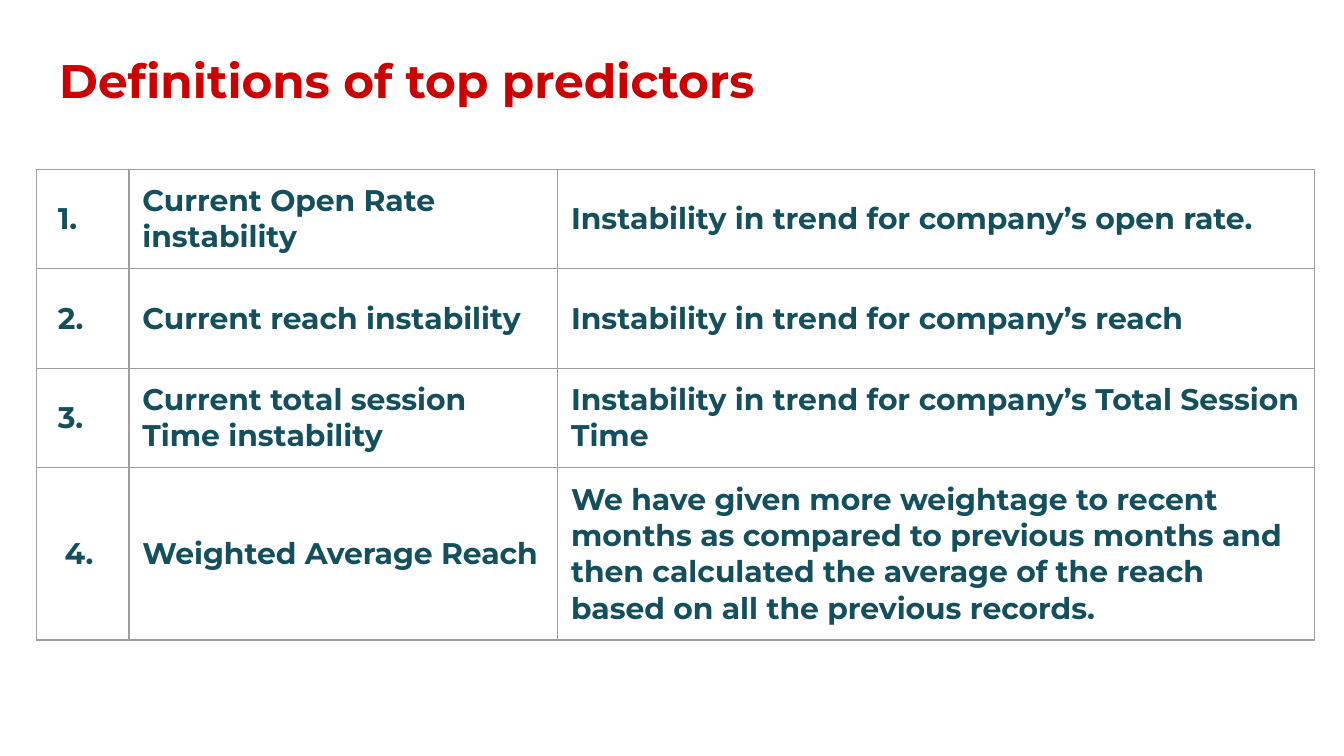
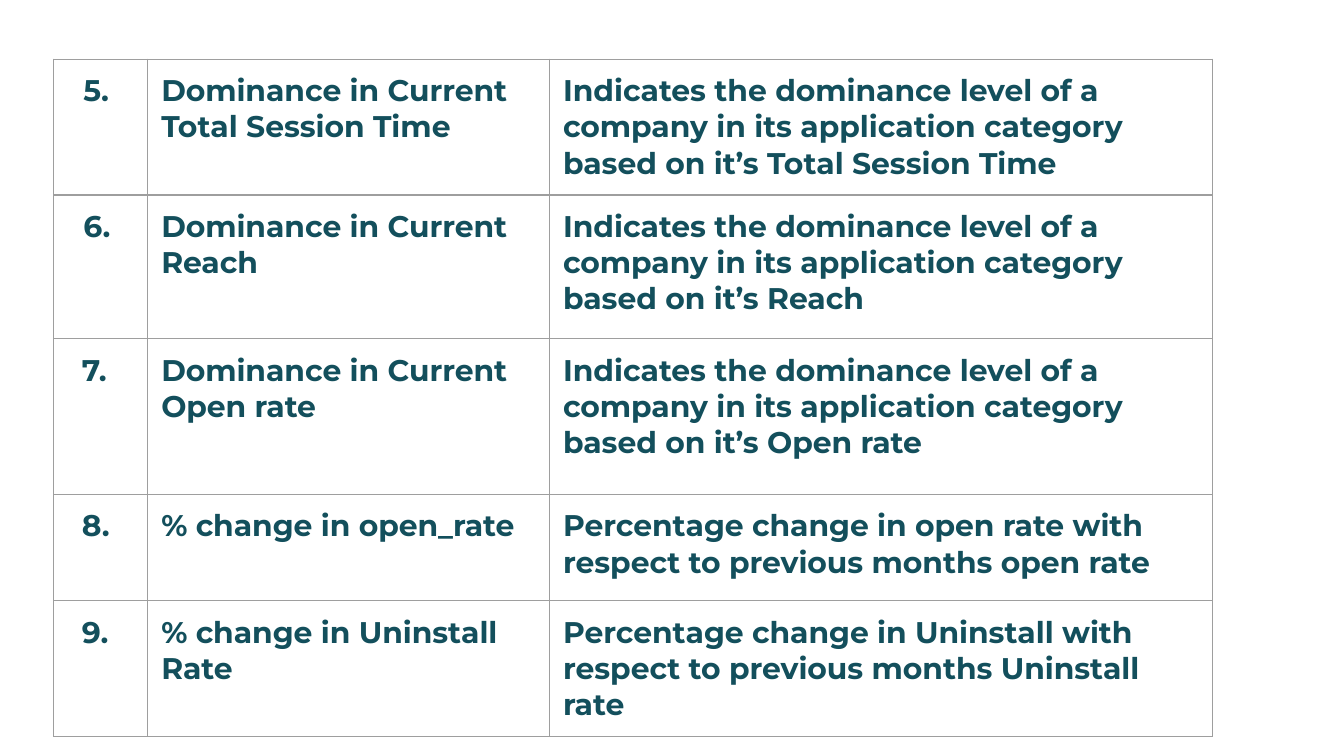
"""Build two slides that define the top predictors."""
from dataclasses import dataclass

from lxml.etree import SubElement as Sub
from pptx import Presentation
from pptx.dml.color import RGBColor as Rgb
from pptx.enum.text import MSO_ANCHOR as Anchor, PP_ALIGN as Align
from pptx.oxml.ns import qn
from pptx.util import Inches as In, Pt


@dataclass(frozen=True)
class Theme:
    """Colours, font, type sizes and spacing."""
    face: str = "Montserrat"
    head: str = "CC0000"
    body: str = "134F5C"
    rule: str = "9E9E9E"
    big: float = 25.2
    text: float = 16
    line: float = 0.75
    pad: float = 0.1


LOOK = Theme()
WIDE = 10
SIZE = (WIDE, WIDE * 9 / 16)
LEVEL = "Indicates the dominance level of a company in its application category based on it’s "
TREND = "Instability in trend for company’s "

PAGES = [
    {
        "title": "Definitions of top predictors",
        "at": (0.27, 1.26),
        "cols": (0.69, 3.19, 5.63),
        "highs": (0.74, 0.74, 0.74, 1.28),
        "anchor": Anchor.MIDDLE,
        "first": 1,
        "dents": (0.06, 0.06, 0.06, 0.11),
        "rows": [
            ("Current Open Rate instability", TREND + "open rate."),
            ("Current reach instability", TREND + "reach"),
            ("Current total session Time instability", TREND + "Total Session Time"),
            ("Weighted Average Reach",
             "We have given more weightage to recent months as compared to previous months "
             "and then calculated the average of the reach based on all the previous records."),
        ],
    },
    {
        "title": None,
        "at": (0.4, 0.44),
        "cols": (0.7, 2.99, 4.93),
        "highs": (0.63, 1.07, 1.16, 0.79, 0.79),
        "anchor": Anchor.TOP,
        "first": 5,
        "dents": (0.12, 0.12, 0.11, 0.11, 0.11),
        "rows": [
            ("Dominance in Current Total Session Time", LEVEL + "Total Session Time"),
            ("Dominance in Current Reach", LEVEL + "Reach"),
            ("Dominance in Current Open rate", LEVEL + "Open rate"),
            ("% change in open_rate",
             "Percentage change in open rate with respect to previous months open rate"),
            ("% change in Uninstall Rate",
             "Percentage change in Uninstall with respect to previous months Uninstall rate"),
        ],
    },
]


def write(frame, text, size, color):
    """Set the text and its font."""
    frame.text = text
    para = frame.paragraphs[0]
    para.alignment = Align.LEFT
    font = para.runs[0].font
    font.name, font.size, font.bold = LOOK.face, Pt(size), True
    font.color.rgb = Rgb.from_string(color)


def inset(box, dent=0):
    """Pad a cell or frame evenly, with an extra left indent."""
    box.margin_right = box.margin_top = box.margin_bottom = In(LOOK.pad)
    box.margin_left = In(LOOK.pad + dent)


def edge(cell):
    """Draw the four borders of a cell."""
    props = cell._tc.get_or_add_tcPr()
    for side in ("lnL", "lnR", "lnT", "lnB"):
        line = Sub(props, qn("a:" + side), w=str(Pt(LOOK.line)))
        fill = Sub(line, qn("a:solidFill"))
        Sub(fill, qn("a:srgbClr"), val=LOOK.rule)


def title(slide, text):
    """Place and format the slide title."""
    box = slide.shapes.title
    box.left, box.top, box.width, box.height = map(In, (0.34, 0.28, 9.32, 0.63))
    write(box.text_frame, text, LOOK.big, LOOK.head)
    inset(box.text_frame)
    box.text_frame.vertical_anchor = Anchor.TOP


def grid(slide, page):
    """Add the numbered table of definitions."""
    cols, highs, rows = page["cols"], page["highs"], page["rows"]
    spot = map(In, (*page["at"], sum(cols), sum(highs)))
    table = slide.shapes.add_table(len(rows), len(cols), *spot).table
    table.first_row = table.horz_banding = False
    for col, wide in zip(table.columns, cols):
        col.width = In(wide)
    for r, (row, dent) in enumerate(zip(rows, page["dents"])):
        table.rows[r].height = In(highs[r])
        for c, text in enumerate((f"{page['first'] + r}.", *row)):
            cell = table.cell(r, c)
            write(cell.text_frame, text, LOOK.text, LOOK.body)
            inset(cell, 0 if c else dent)
            cell.vertical_anchor = page["anchor"]
            edge(cell)
            cell.fill.background()


def main():
    """Make the deck and save it."""
    deck = Presentation()
    deck.slide_width, deck.slide_height = map(In, SIZE)
    for page in PAGES:
        slide = deck.slides.add_slide(deck.slide_layouts[5 if page["title"] else 6])
        if page["title"]:
            title(slide, page["title"])
        grid(slide, page)
    deck.save("out.pptx")


if __name__ == "__main__":
    main()
